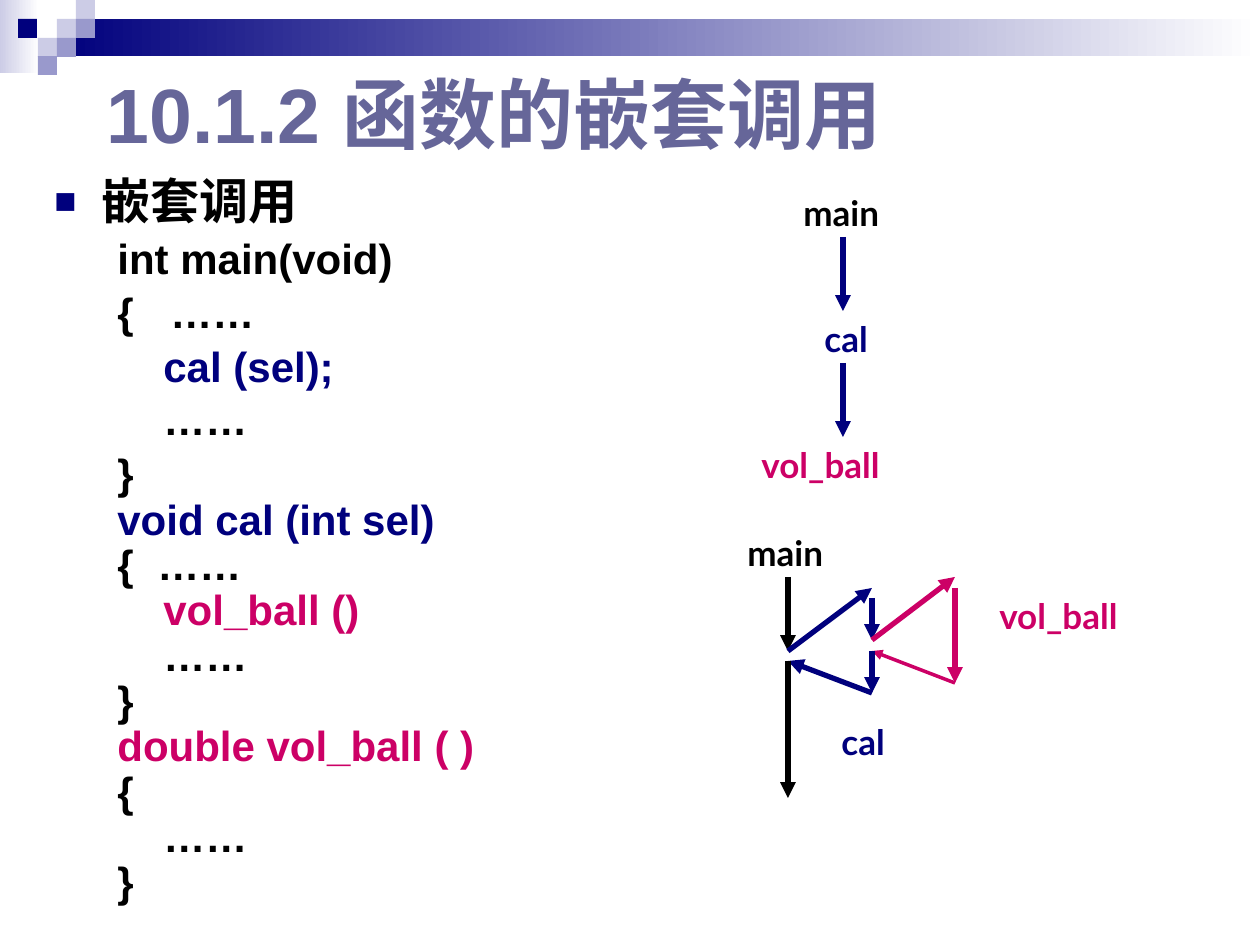
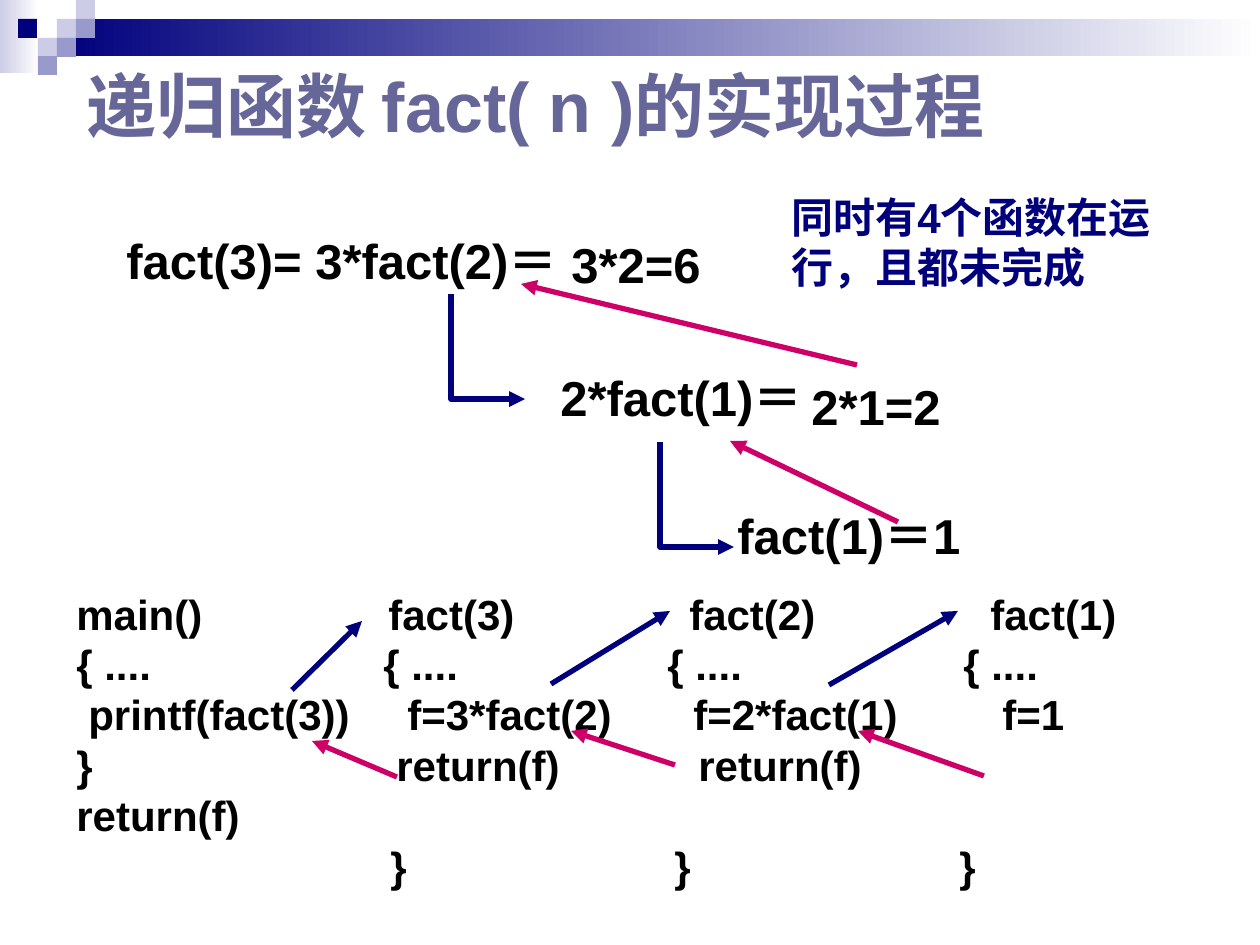
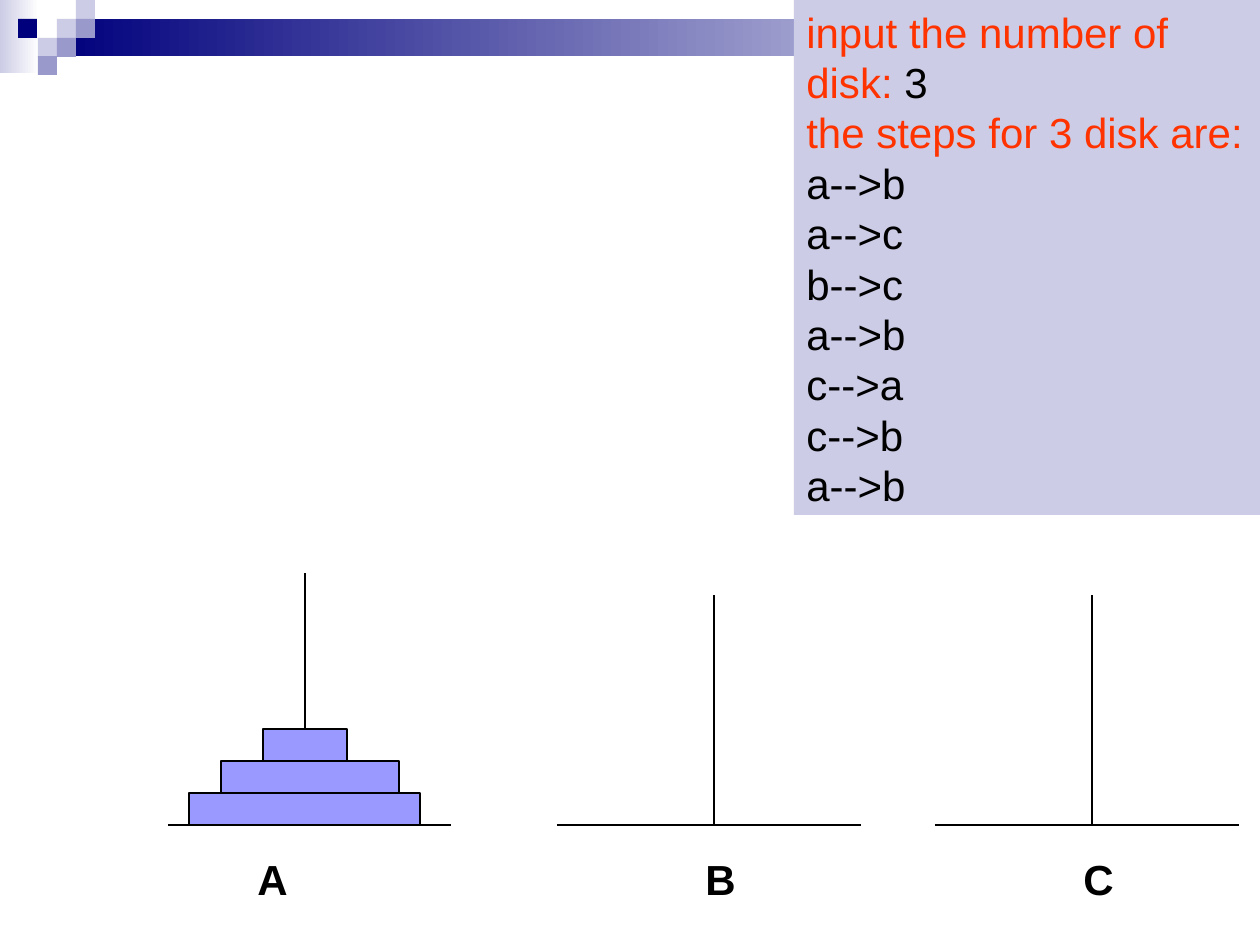
from dataclasses import dataclass

from lxml import etree
from pptx import Presentation
from pptx import util as u
from pptx.dml.color import RGBColor
from pptx.enum import shapes, text
from pptx.oxml.ns import qn

PX = u.Inches(10) // 1260


@dataclass(frozen=True)
class Theme:
    navy: str = "00007D"
    mid: str = "9999CC"
    pale: str = "CCCCE6"
    white: str = "FFFFFF"
    black: str = "000000"
    title: str = "666699"
    pink: str = "CC0066"
    red: str = "FF3300"
    disk: str = "9999FF"
    font: str = "Arial"
    label_font: str = "Lato"
    label: int = 20
    code: int = 24
    formula: int = 28
    title_small: int = 40
    title_large: int = 44


T = Theme()
rgb = RGBColor.from_string


def write(slide, box, lines, size, font=T.font, bold=True):
    """Add a text box; each line is (text, colour, left indent, hanging indent)."""
    holder = slide.shapes.add_textbox(*[v * PX for v in box])
    frame = holder.text_frame
    frame.word_wrap = True
    for i, (words, color, left, hang) in enumerate(lines):
        paragraph = frame.add_paragraph() if i else frame.paragraphs[0]
        paragraph.text = words
        for run in paragraph.runs:
            run.font.name, run.font.size, run.font.bold = font, u.Pt(size), bold
            run.font.color.rgb = rgb(color)
        props = paragraph._p.get_or_add_pPr()
        props.set("marL", str(left * PX))
        props.set("indent", str(-hang * PX))
    return holder


def connect(slide, ends, color, width=3, arrow=True):
    line = slide.shapes.add_connector(
        shapes.MSO_CONNECTOR.STRAIGHT, *[v * PX for v in ends])
    line.line.color.rgb = rgb(color)
    line.line.width = u.Pt(width)
    props = line._element.spPr
    if arrow:
        etree.SubElement(props.find(qn("a:ln")), qn("a:tailEnd"), type="triangle")
    etree.SubElement(props, qn("a:effectLst"))


prs = Presentation()
prs.slide_width, prs.slide_height = 1260 * PX, 945 * PX
nested, recursion, hanoi = [prs.slides.add_slide(prs.slide_layouts[6]) for _ in range(3)]

# Shared band and mosaic
mosaic = [
    ((0, 0, 39, 73), (T.pale, T.white)),
    ((57, 19, 1203, 37), (T.navy, T.white)),
    ((57, 19, 19, 19), (T.pale,)),
    ((76, 0, 19, 19), (T.pale,)),
    ((76, 19, 19, 19), (T.mid,)),
    ((38, 38, 19, 19), (T.pale,)),
    ((18, 19, 19, 19), (T.navy,)),
    ((57, 38, 19, 19), (T.mid,)),
    ((38, 56, 19, 19), (T.mid,)),
]
for slide in prs.slides:
    for box, colors in mosaic:
        tile = slide.shapes.add_shape(shapes.MSO_SHAPE.RECTANGLE, *[v * PX for v in box])
        tile.shadow.inherit = False
        tile.line.fill.background()
        if len(colors) == 1:
            tile.fill.solid()
            tile.fill.fore_color.rgb = rgb(colors[0])
        else:
            tile.fill.gradient()
            tile.fill.gradient_angle = 0
            for stop, color in zip(tile.fill.gradient_stops, colors):
                stop.color.rgb = rgb(color)

for slide, box, words, size in [
    (nested, (94, 60, 851, 105), "10.1.2 函数的嵌套调用", T.title_large),
    (recursion, (74, 55, 1101, 100), "递归函数 fact( n )的实现过程", T.title_small),
]:
    title = write(slide, box, [(words, T.title, 0, 0)], size)
    title.text_frame.vertical_anchor = text.MSO_ANCHOR.MIDDLE

# Slide 1: nested calls
OUTER, INNER = 63, 109
listing = [
    ("嵌套调用", T.black, 47, 47),
    ("int main(void)", T.black, OUTER, 0),
    ("{\t……", T.black, 116, 116 - OUTER),
    ("cal (sel);", T.navy, INNER, 0),
    ("……", T.black, INNER, 0),
    ("}", T.black, OUTER, 0),
    ("void cal (int sel)", T.navy, OUTER, 0),
    ("{\t……", T.black, 103, 103 - OUTER),
    ("vol_ball ()", T.pink, INNER, 0),
    ("……", T.black, INNER, 0),
    ("}", T.black, OUTER, 0),
    ("double vol_ball ( )", T.pink, OUTER, 0),
    ("{", T.black, OUTER, 0),
    ("……", T.black, INNER, 0),
    ("}", T.black, OUTER, 0),
]
code = write(nested, (42, 171, 509, 759), listing, T.code).text_frame.paragraphs
for i, paragraph in enumerate(code):
    paragraph.line_spacing = 0.9
    if 1 <= i <= 5:
        paragraph.space_before = u.Pt(4.8)
heading = code[0]
heading.runs[0].font.size = u.Pt(T.formula)
bullet = heading._p.get_or_add_pPr()
etree.SubElement(etree.SubElement(bullet, qn("a:buClr")), qn("a:srgbClr"), val=T.navy)
etree.SubElement(bullet, qn("a:buSzPct"), val="75000")
etree.SubElement(bullet, qn("a:buFont"), typeface=T.font)
etree.SubElement(bullet, qn("a:buChar"), char="■")

for x, y, width, name, color in [
    (791, 185, 136, "main", T.black),
    (812, 311, 84, "cal", T.navy),
    (749, 437, 179, "vol_ball", T.pink),
    (735, 525, 136, "main", T.black),
    (829, 714, 84, "cal", T.navy),
    (987, 588, 189, "vol_ball", T.pink),
]:
    write(nested, (x, y, width, 54), [(name, color, 0, 0)], T.label, T.label_font)

MAIN, CAL, BALL = 788, 872, 955
for ends, color, width in [
    ((843, 237, 843, 311), T.navy, 3),
    ((843, 363, 843, 437), T.navy, 3),
    ((MAIN, 577, MAIN, 651), T.black, 3),
    ((MAIN, 651, CAL, 588), T.navy, 3),
    ((CAL, 598, CAL, 640), T.navy, 3),
    ((CAL, 693, MAIN, 661), T.navy, 3),
    ((MAIN, 661, MAIN, 798), T.black, 3),
    ((CAL, 640, BALL, 577), T.pink, 3),
    ((BALL, 588, BALL, 683), T.pink, 3),
    ((BALL, 683, CAL, 651), T.pink, 2),
    ((CAL, 651, CAL, 693), T.navy, 3),
]:
    connect(nested, ends, color, width)

# Slide 2: recursion
expansion = [
    ("fact(3)= 3*fact(2)＝", T.black, 0, 0),
    ("2*fact(1)＝", T.black, 434, 0),
    ("fact(1)＝1", T.black, 611, 0),
]
steps = write(recursion, (114, 224, 1111, 427), expansion, T.formula)
for paragraph in steps.text_frame.paragraphs[1:]:
    paragraph.space_before = u.Pt(45)

for box, words, color, size in [
    ((799, 370, 199, 72), "2*1=2", T.black, T.formula),
    ((559, 228, 179, 72), "3*2=6", T.black, T.formula),
    ((779, 185, 392, 113), "同时有4个函数在运行，且都未完成", T.navy, T.code),
]:
    write(recursion, box, [(words, color, 0, 0)], size)

# Each call: left edge, lines with indents, rows left free before the last line
ROW_PT = 28.8
for left, body, free_rows in [
    (64, [("main()", 0), ("{ ....", 0), ("printf(fact(3))", 12), ("}", 0),
          ("return(f)", 0)], 0),
    (371, [("fact(3)", 5), ("{ ....", 0), ("f=3*fact(2)", 24), ("return(f)", 13),
           ("}", 7)], 1),
    (655, [("fact(2)", 22), ("{ ....", 0), ("f=2*fact(1)", 26), ("return(f)", 31),
           ("}", 7)], 1),
    (947, [("fact(1)", 31), ("{ ....", 4), ("f=1", 43), ("}", 0)], 2),
]:
    call = write(recursion, (left, 582, 300, 315),
                 [(words, T.black, indent, 0) for words, indent in body], T.code)
    call.text_frame.paragraphs[-1].space_before = u.Pt(free_rows * ROW_PT)

for x, y in [(451, 294), (660, 442)]:
    outline = recursion.shapes.build_freeform(x, y, scale=PX)
    outline.add_line_segments([(x, y + 105), (x + 74, y + 105)], close=False)
    elbow = outline.convert_to_shape()
    elbow.shadow.inherit = False
    elbow.fill.background()
    elbow.line.color.rgb = rgb(T.navy)
    elbow.line.width = u.Pt(3)
    etree.SubElement(elbow._element.spPr.find(qn("a:ln")), qn("a:tailEnd"), type="triangle")

calls = [(292, 690, 362, 621), (551, 684, 670, 611), (829, 685, 958, 611)]
returns = [(898, 522, 730, 441), (857, 365, 521, 284), (984, 776, 858, 731),
           (675, 765, 571, 731), (397, 777, 312, 741)]
for color, arrows in [(T.navy, calls), (T.pink, returns)]:
    for ends in arrows:
        connect(recursion, ends, color)

# Slide 3: tower of Hanoi
BASE = 825
for name, name_left, left, right, pole, top in [
    ("A", 245, 168, 451, 305, 573),
    ("B", 693, 557, 861, 714, 595),
    ("C", 1071, 935, 1239, 1092, 595),
]:
    connect(hanoi, (left, BASE, right, BASE), T.black, 0.75, arrow=False)
    connect(hanoi, (pole, BASE, pole, top), T.black, 0.75, arrow=False)
    write(hanoi, (name_left, 847, 60, 64), [(name, T.black, 0, 0)], T.code)

DISK_HEIGHT = 32
for level, (left, width) in enumerate([(189, 231), (221, 178), (263, 84)], start=1):
    disk = hanoi.shapes.add_shape(
        shapes.MSO_SHAPE.RECTANGLE, left * PX, (BASE - level * DISK_HEIGHT) * PX,
        width * PX, DISK_HEIGHT * PX)
    disk.shadow.inherit = False
    disk.fill.solid()
    disk.fill.fore_color.rgb = rgb(T.disk)
    disk.line.color.rgb = rgb(T.black)
    disk.line.width = u.Pt(0.75)

moves = ["a-->b", "a-->c", "b-->c", "a-->b", "c-->a", "c-->b", "a-->b"]
output = [("input the number of disk: ", T.red, 0, 0),
          ("the steps for 3 disk are:", T.red, 0, 0)]
output += [(move, T.black, 0, 0) for move in moves]
panel = write(hanoi, (794, 0, 466, 515), output, T.code, bold=False)
panel.fill.solid()
panel.fill.fore_color.rgb = rgb(T.pale)
count = panel.text_frame.paragraphs[0].add_run()
count.text = "3"
count.font.name, count.font.size = T.font, u.Pt(T.code)
count.font.color.rgb = rgb(T.black)

prs.save("out.pptx")
